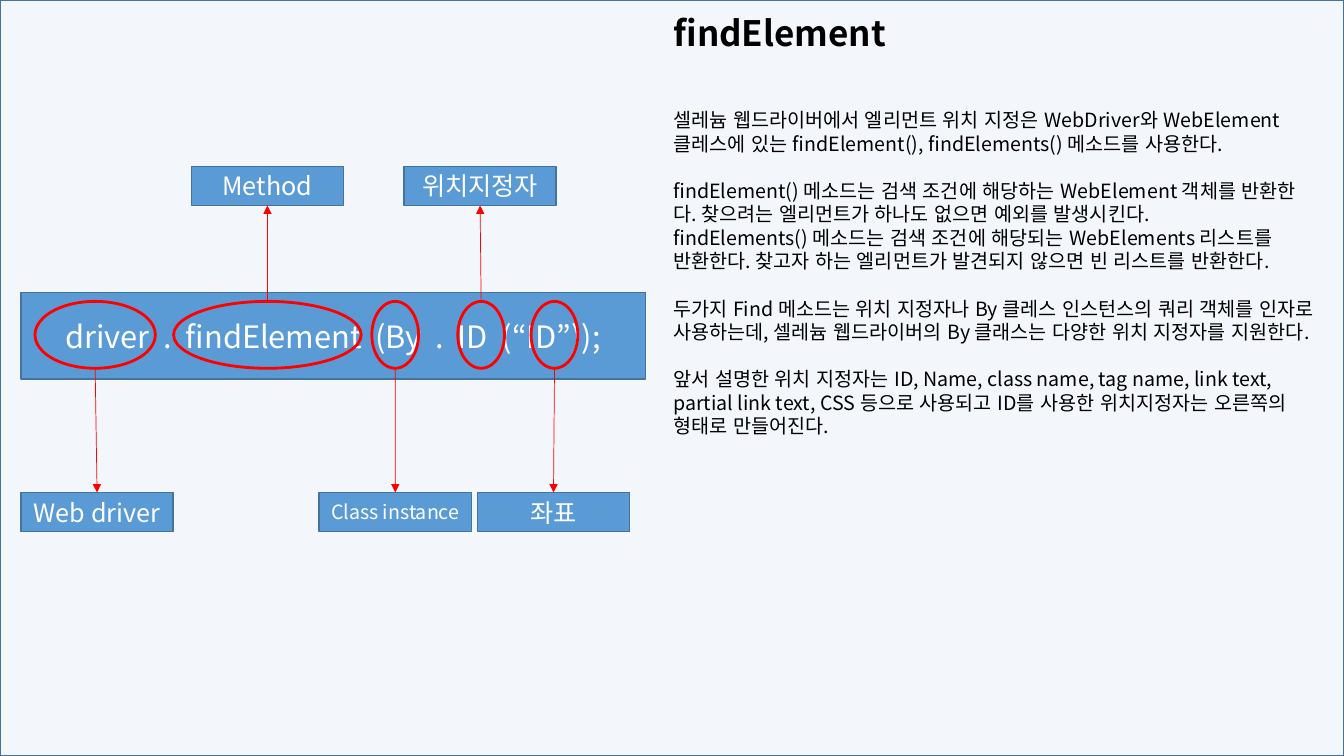
from lxml.etree import SubElement
from pptx import Presentation
from pptx.dml.color import RGBColor
from pptx.enum.lang import MSO_LANGUAGE_ID
from pptx.enum.shapes import MSO_CONNECTOR, MSO_SHAPE
from pptx.enum.text import MSO_ANCHOR, MSO_AUTO_SIZE, PP_ALIGN
from pptx.oxml.ns import qn
from pptx.util import Pt

FONT = "Noto Sans CJK KR"
BLACK = RGBColor(0x00, 0x00, 0x00)
WHITE = RGBColor(0xFF, 0xFF, 0xFF)
RED = RGBColor(0xFF, 0x00, 0x00)
BLUE = RGBColor(0x5B, 0x9B, 0xD5)
DARK_BLUE = RGBColor(0x43, 0x73, 0x9E)
PALE_BLUE = RGBColor(0xDE, 0xEB, 0xF7)

LINE_PITCH = 16.85
STATEMENT = "driver  .  findElement  (By  .  ID  (“ID”));"
LABEL_SIZE = (108.7, 28)
UPPER_LABEL, BAR, LOWER_LABEL = 0, 90, 233
RING_TOP, RING_HEIGHT = 96.5, 47.8

# ring left, ring width, label left, label top, label text, text size
CALLOUTS = [
    (10, 86, 0, LOWER_LABEL, "Web driver", 18),
    (109, 134, 121.7, UPPER_LABEL, "Method", 18),
    (250.6, 33.4, 213, LOWER_LABEL, "Class instance", 14),
    (312, 33.4, 273.6, UPPER_LABEL, "위치지정자", 18),
    (364.4, 33.4, 326, LOWER_LABEL, "좌표", 18),
]

# text, blank line above
BODY = [
    ("셀레늄 웹드라이버에서 엘리먼트 위치 지정은 WebDriver와 WebElement 클레스에 있는 "
     "findElement(), findElements() 메소드를 사용한다.", False),
    ("findElement() 메소드는 검색 조건에 해당하는 WebElement 객체를 반환한다. "
     "찾으려는 엘리먼트가 하나도 없으면 예외를 발생시킨다.", True),
    ("findElements() 메소드는 검색 조건에 해당되는 WebElements 리스트를 반환한다. "
     "찾고자 하는 엘리먼트가 발견되지 않으면 빈 리스트를 반환한다.", False),
    ("두가지 Find 메소드는 위치 지정자나 By 클레스 인스턴스의 쿼리 객체를 인자로 사용하는데, "
     "셀레늄 웹드라이버의 By 클래스는 다양한 위치 지정자를 지원한다.", True),
    ("앞서 설명한 위치 지정자는 ID, Name, class name, tag name, link text, partial link text, "
     "CSS 등으로 사용되고 ID를 사용한 위치지정자는 오른쪽의 형태로 만들어진다.", True),
]


def apply_format(target, values):
    """Set every attribute in values on target."""
    for name, value in values.items():
        setattr(target, name, value)


def place(shape, left, top, width, height):
    """Move and size a shape, in points."""
    apply_format(shape, {"left": Pt(left), "top": Pt(top),
                         "width": Pt(width), "height": Pt(height)})


def write_span(para, text, size, color, bold=False):
    """Add a formatted run to a paragraph."""
    span = para.add_run()
    span.text = text
    apply_format(span.font, {"name": FONT, "size": Pt(size), "bold": bold,
                             "language_id": MSO_LANGUAGE_ID.KOREAN})
    span.font.color.rgb = color
    SubElement(span.font._element, qn("a:ea"), typeface=FONT)


def prepare_frame(frame, anchor, side_margin):
    """Give a text frame wrapping, an anchor and margins."""
    apply_format(frame, {"word_wrap": True, "auto_size": MSO_AUTO_SIZE.NONE,
                         "vertical_anchor": anchor,
                         "margin_left": Pt(side_margin), "margin_right": Pt(side_margin),
                         "margin_top": 0, "margin_bottom": 0})


def add_outline(page, kind, box, fill, line, width):
    """Add a preset shape with a flat fill and an outline."""
    shape = page.shapes.add_shape(kind, *map(Pt, box))
    shape.shadow.inherit = False
    if fill is None:
        shape.fill.background()
    else:
        shape.fill.solid()
        shape.fill.fore_color.rgb = fill
    shape.line.color.rgb = line
    shape.line.width = Pt(width)
    return shape


def add_caption_box(page, box, text, size):
    """Add a blue box with centred white text."""
    shape = add_outline(page, MSO_SHAPE.RECTANGLE, box, BLUE, DARK_BLUE, 1)
    prepare_frame(shape.text_frame, MSO_ANCHOR.MIDDLE, 7.2)
    para = shape.text_frame.paragraphs[0]
    para.alignment = PP_ALIGN.CENTER
    write_span(para, text, size, WHITE)


def add_arrow(page, start, end):
    """Add a thin red arrow between two points."""
    arrow = page.shapes.add_connector(MSO_CONNECTOR.STRAIGHT, *map(Pt, start + end))
    arrow.line.color.rgb = RED
    arrow.line.width = Pt(0.5)
    properties = arrow._element.spPr
    SubElement(properties.find(qn("a:ln")), qn("a:tailEnd"), type="triangle")
    SubElement(properties, qn("a:effectLst"))


def build_backdrop(page, box):
    """Lay a translucent panel behind everything."""
    panel = add_outline(page, MSO_SHAPE.RECTANGLE, box, PALE_BLUE, DARK_BLUE, 1)
    color = panel._element.spPr.find(qn("a:solidFill"))[0]
    SubElement(color, qn("a:alpha"), val="36000")
    panel._element.getparent().insert(2, panel._element)


def build_explanation(page, box):
    """Fill the title and body placeholders inside the box."""
    left, top, width, height = box
    title, body = page.shapes.title, page.placeholders[1]
    place(title, left, top, width, 40)
    prepare_frame(title.text_frame, MSO_ANCHOR.TOP, 7.2)
    heading = title.text_frame.paragraphs[0]
    apply_format(heading, {"alignment": PP_ALIGN.LEFT, "line_spacing": 1.0})
    write_span(heading, "findElement", 25, BLACK, True)

    place(body, left, top + 69, width, height - 69)
    frame = body.text_frame
    prepare_frame(frame, MSO_ANCHOR.TOP, 7.2)
    for index, (text, gap) in enumerate(BODY):
        para = frame.add_paragraph() if index else frame.paragraphs[0]
        properties = para._p.get_or_add_pPr()
        apply_format(para, {"alignment": PP_ALIGN.LEFT, "line_spacing": Pt(LINE_PITCH),
                            "space_before": Pt(LINE_PITCH if gap else 0),
                            "space_after": Pt(0)})
        properties.set("marL", "0")
        properties.set("indent", "0")
        SubElement(properties, qn("a:buNone"))
        write_span(para, text, 14, BLACK)


def build_diagram(page, box):
    """Draw the statement bar with its ringed parts and labels."""
    left, top, width, _ = box
    add_caption_box(page, (left, top + BAR, width, 62), STATEMENT, 22)
    label_width, label_height = LABEL_SIZE
    for ring_left, ring_width, label_left, label_top, text, size in CALLOUTS:
        ring = (left + ring_left, top + RING_TOP, ring_width, RING_HEIGHT)
        add_outline(page, MSO_SHAPE.OVAL, ring, None, RED, 2)
        add_caption_box(page, (left + label_left, top + label_top, *LABEL_SIZE), text, size)
        upward = label_top == UPPER_LABEL
        start_y = RING_TOP + (0 if upward else RING_HEIGHT)
        end_y = label_top + (label_height if upward else 0)
        add_arrow(page, (left + ring_left + ring_width / 2, top + start_y),
                  (left + label_left + label_width / 2, top + end_y))


def main():
    """Build the deck and save it."""
    deck = Presentation()
    apply_format(deck, {"slide_width": Pt(960), "slide_height": Pt(540)})
    page = deck.slides.add_slide(deck.slide_layouts[1])
    build_backdrop(page, (0, 0, 960, 540))
    build_explanation(page, (473.8, 8, 473, 445))
    build_diagram(page, (15, 118.8, 446, 261))
    deck.save("out.pptx")


if __name__ == "__main__":
    main()
